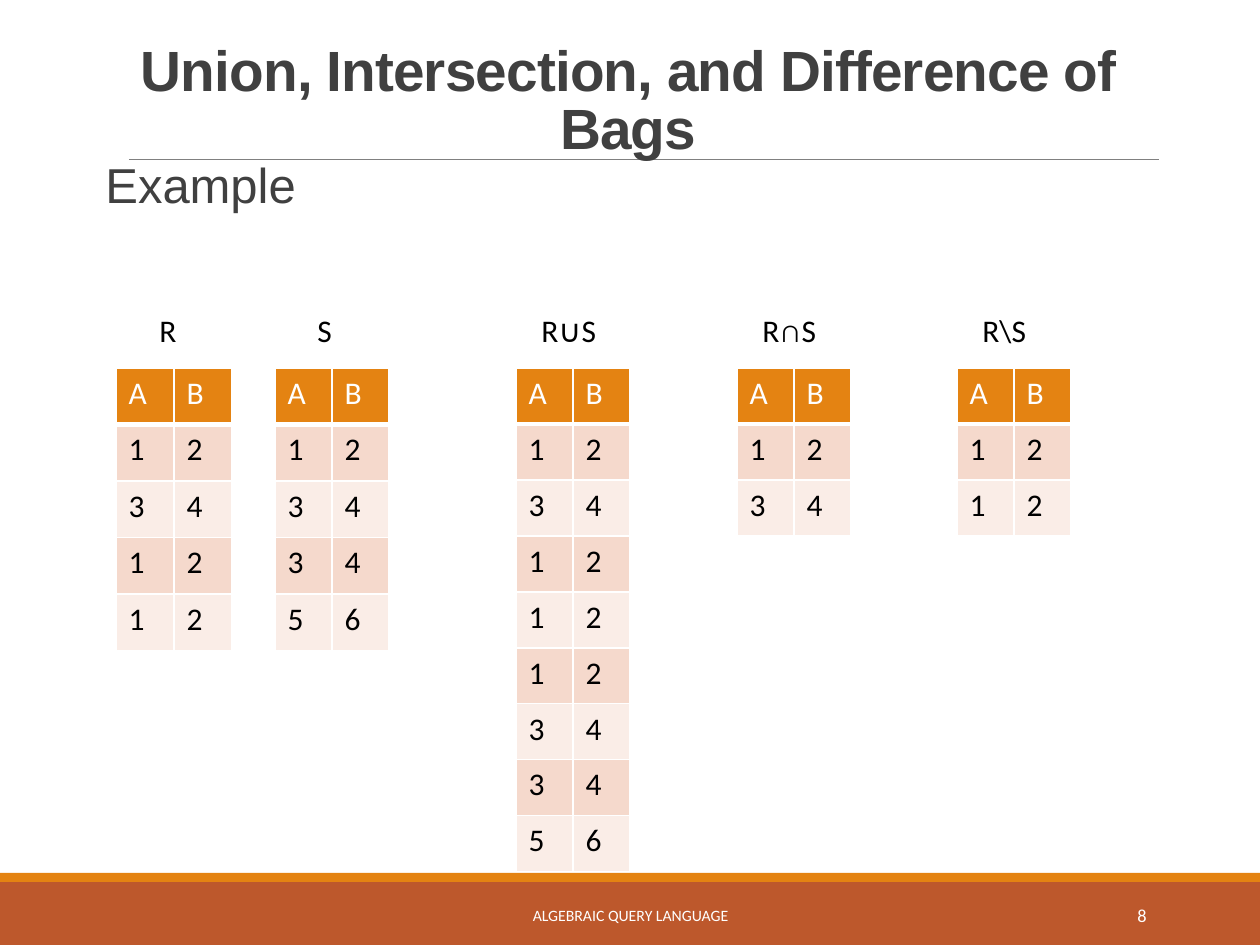
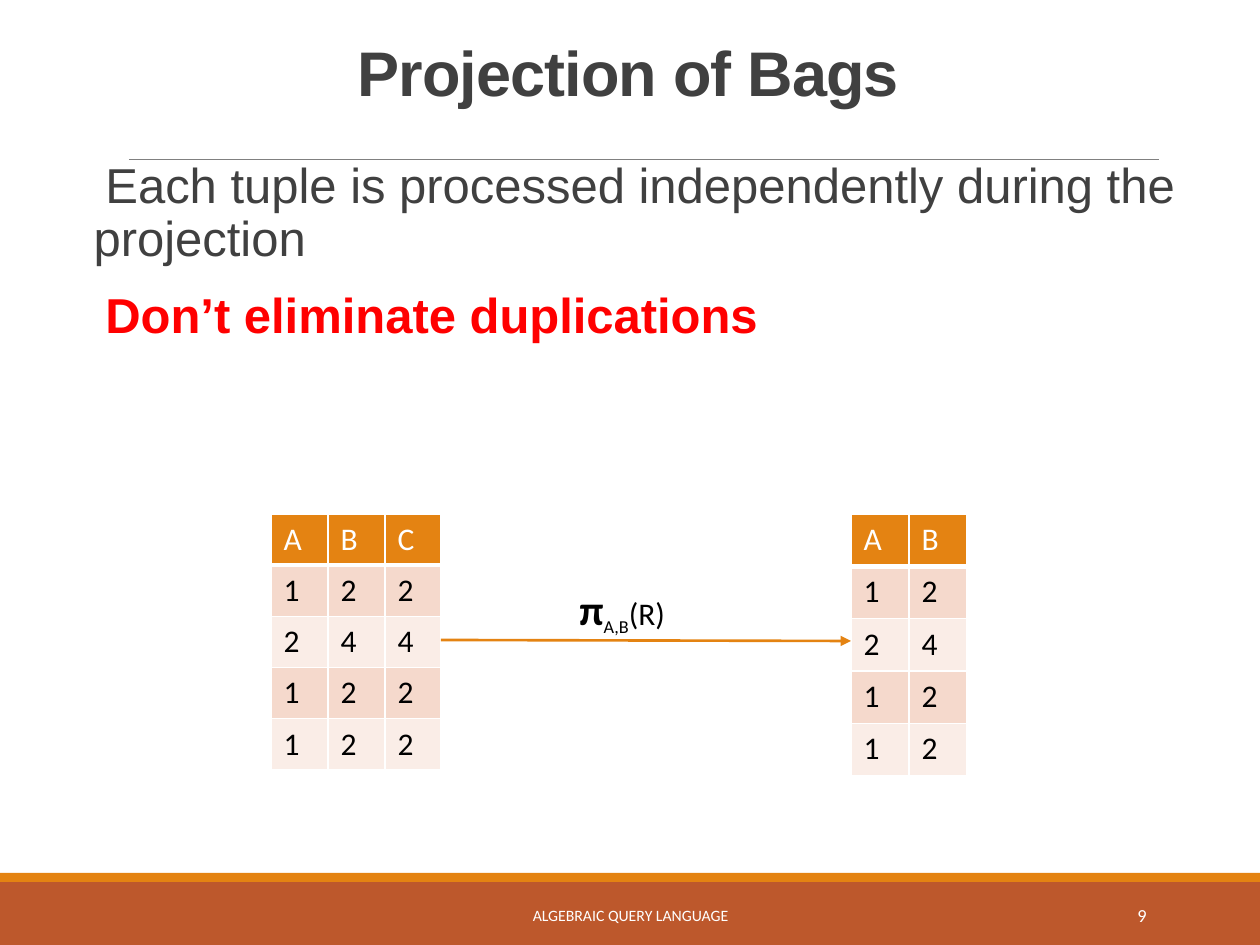
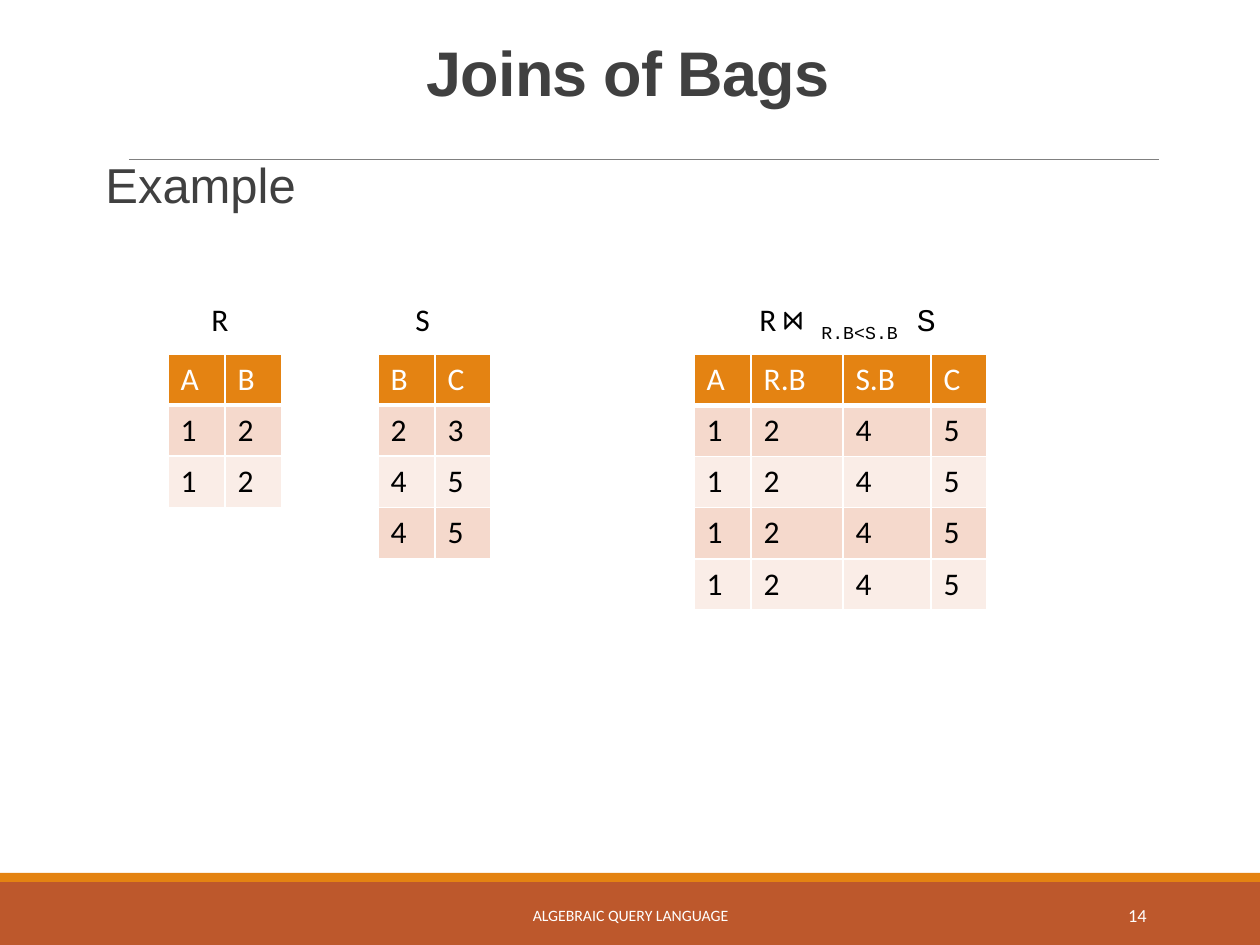
from lxml.etree import SubElement
from pptx import Presentation
from pptx.dml.color import RGBColor
from pptx.enum.shapes import MSO_CONNECTOR, MSO_SHAPE
from pptx.enum.text import MSO_ANCHOR, MSO_AUTO_SIZE, PP_ALIGN
from pptx.oxml.ns import qn
from pptx.util import Inches, Pt

PX = 7257  # EMU per px, 126 px to the inch
rgb = RGBColor.from_string

ORANGE, RUST, GREY = "E48312", "BD582C", "808080"
DARK, BLACK, WHITE, RED = "404040", "000000", "FFFFFF", "FF0000"
BANDS = ["FAEDE7", "F5D9CC"]


def add_text(s, x, y, w, h, lines, size, color, font="Calibri",
             align=PP_ALIGN.LEFT, anchor=MSO_ANCHOR.TOP, wrap=True):
    tf = s.shapes.add_textbox(x * PX, y * PX, w * PX, h * PX).text_frame
    tf.word_wrap = wrap
    tf.auto_size = MSO_AUTO_SIZE.NONE if wrap else MSO_AUTO_SIZE.SHAPE_TO_FIT_TEXT
    tf.vertical_anchor = anchor
    tf.text = "\n".join(lines)
    for p in tf.paragraphs:
        p.alignment = align
        for r in p.runs:
            r.font.name, r.font.size = font, Pt(size)
            r.font.color.rgb = rgb(color)
    return tf


def add_grid(s, x, y, widths, height, rows):
    """Each row is a string with its cells parted by blanks."""
    tbl = s.shapes.add_table(len(rows), len(widths), x * PX, y * PX,
                             sum(widths) * PX, height * PX).table
    for col, w in zip(tbl.columns, widths):
        col.width = w * PX
    for i, row in enumerate(rows):
        tbl.rows[i].height = height * PX // len(rows)
        for j, value in enumerate(row.split()):
            cell = tbl.cell(i, j)
            tcPr = cell._tc.get_or_add_tcPr()
            for side in ("L", "R", "T", "B"):
                width = Pt(3) if i == 0 and side == "B" else Pt(1)
                ln = SubElement(tcPr, qn("a:ln" + side), w=str(width))
                SubElement(SubElement(ln, qn("a:solidFill")), qn("a:srgbClr"), val=WHITE)
            cell.fill.solid()
            cell.fill.fore_color.rgb = rgb(BANDS[i % 2] if i else ORANGE)
            cell.text = value
            font = cell.text_frame.paragraphs[0].runs[0].font
            font.name, font.size, font.bold = "Calibri", Pt(18), False
            font.color.rgb = rgb(BLACK if i else WHITE)


prs = Presentation()
prs.slide_width, prs.slide_height = Inches(10), Inches(7.5)

# Shared parts: bands, rule, body, title, footer
pages = [
    ("Union, Intersection, and Difference of Bags", 32.4, "8", ["Example"]),
    ("Projection of Bags", 36, "9",
     ["Each tuple is processed independently during the projection",
      "Don’t eliminate duplications"]),
    ("Joins of Bags", 36, "14", ["Example"]),
]
for title, title_size, number, body in pages:
    s = prs.slides.add_slide(prs.slide_layouts[6])
    for y, h, color in ((882, 63, RUST), (873, 9, ORANGE)):
        sp = s.shapes.add_shape(MSO_SHAPE.RECTANGLE, 0, y * PX, prs.slide_width, h * PX)
        sp.shadow.inherit = False
        sp.fill.solid()
        sp.fill.fore_color.rgb = rgb(color)
        sp.line.fill.background()
    rule = s.shapes.add_connector(MSO_CONNECTOR.STRAIGHT, 129 * PX, 159 * PX, 1159 * PX, 159 * PX)
    rule.line.color.rgb, rule.line.width = rgb(GREY), Pt(0.5)
    SubElement(rule._element.spPr, qn("a:effectLst"))

    tf = add_text(s, 81, 155, 1094, 698, body, 28, DARK, "Arial")
    tf.margin_left = tf.margin_right = 0
    for i, p in enumerate(tf.paragraphs):
        pPr = p._p.get_or_add_pPr()
        pPr.set("marL", str(Inches(0.1)))
        pPr.set("indent", str(-Inches(0.1)))
        SubElement(pPr, qn("a:buChar"), char=" ")
        p.line_spacing, p.space_after = 0.9, Pt(2)
        p.space_before = Pt(12 if i else 0)

    tf = add_text(s, 81, 39, 1094, 116, [title], title_size, DARK, "Arial", PP_ALIGN.CENTER)
    p = tf.paragraphs[0]
    p.line_spacing = 0.85
    p.runs[0].font.bold = True
    p.runs[0]._r.get_or_add_rPr().set("spc", "-50")

    add_text(s, 381, 890, 499, 50, ["ALGEBRAIC QUERY LANGUAGE"], 9, WHITE,
             align=PP_ALIGN.CENTER, anchor=MSO_ANCHOR.MIDDLE)
    add_text(s, 1023, 890, 136, 50, [number], 10.5, WHITE,
             align=PP_ALIGN.RIGHT, anchor=MSO_ANCHOR.MIDDLE)

bags, projection, joins = prs.slides

# Red warning on the projection slide
warning = projection.shapes[3].text_frame.paragraphs[1].runs[0].font
warning.bold, warning.color.rgb = True, rgb(RED)

# Tables: slide, left, top, column widths, height, rows
grids = [
    (bags, 116, 368, [58, 58], 283, ["A B", "1 2", "3 4", "1 2", "1 2"]),
    (bags, 275, 368, [57, 57], 283, ["A B", "1 2", "3 4", "3 4", "5 6"]),
    (bags, 516, 368, [57, 57], 504,
     ["A B", "1 2", "3 4", "1 2", "1 2", "1 2", "3 4", "3 4", "5 6"]),
    (bags, 737, 368, [57, 57], 168, ["A B", "1 2", "3 4"]),
    (bags, 957, 368, [57, 57], 168, ["A B", "1 2", "1 2"]),
    (projection, 271, 514, [57, 57, 56], 256, ["A B C", "1 2 2", "2 4 4", "1 2 2", "1 2 2"]),
    (projection, 851, 514, [58, 58], 262, ["A B", "1 2", "2 4", "1 2", "1 2"]),
    (joins, 168, 354, [57, 57], 153, ["A B", "1 2", "1 2"]),
    (joins, 378, 354, [57, 56], 204, ["B C", "2 3", "4 5", "4 5"]),
    (joins, 694, 354, [57, 92, 88, 56], 256, ["A R.B S.B C"] + ["1 2 4 5"] * 4),
]
for grid in grids:
    add_grid(*grid)

# Table names
for s, x, y, w, name in [
    (bags, 147, 305, 48, "R"), (bags, 305, 305, 43, "S"), (bags, 529, 305, 91, "R∪S"),
    (bags, 750, 305, 91, "R∩S"), (bags, 970, 305, 81, "R\\S"),
    (joins, 199, 294, 48, "R"), (joins, 403, 294, 43, "S"),
]:
    add_text(s, x, y, w, 50, [name], 18, BLACK, wrap=False)

# Projection arrow
arrow = projection.shapes.add_connector(MSO_CONNECTOR.STRAIGHT,
                                        441 * PX, 640 * PX, 851 * PX, 641 * PX)
arrow.line.color.rgb, arrow.line.width = rgb(ORANGE), Pt(1.5)
SubElement(arrow.line._get_or_add_ln(), qn("a:tailEnd"), type="triangle")
SubElement(arrow._element.spPr, qn("a:effectLst"))

# Formulas: runs are text, size, font, bold, baseline
for s, x, y, w, h, runs in [
    (projection, 567, 577, 129, 63, [("π", 24, "Calibri", True, 0),
                                     ("A,B", 18, "Calibri", False, -25000),
                                     ("(R)", 18, "Calibri", False, 0)]),
    (joins, 747, 294, 205, 50, [("R ", 18, "Calibri", False, 0),
                                ("⋈ ", 18, "Courier New", False, 0),
                                ("R.B<S.B", 18, "Courier New", False, -25000),
                                (" S", 18, "Courier New", False, 0)]),
]:
    p = add_text(s, x, y, w, h, [], 18, BLACK, wrap=False).paragraphs[0]
    for text, size, font, bold, baseline in runs:
        r = p.add_run()
        r.text = text
        r.font.name, r.font.size, r.font.bold = font, Pt(size), bold
        r.font.color.rgb = rgb(BLACK)
        if baseline:
            r._r.get_or_add_rPr().set("baseline", str(baseline))

prs.save("out.pptx")
